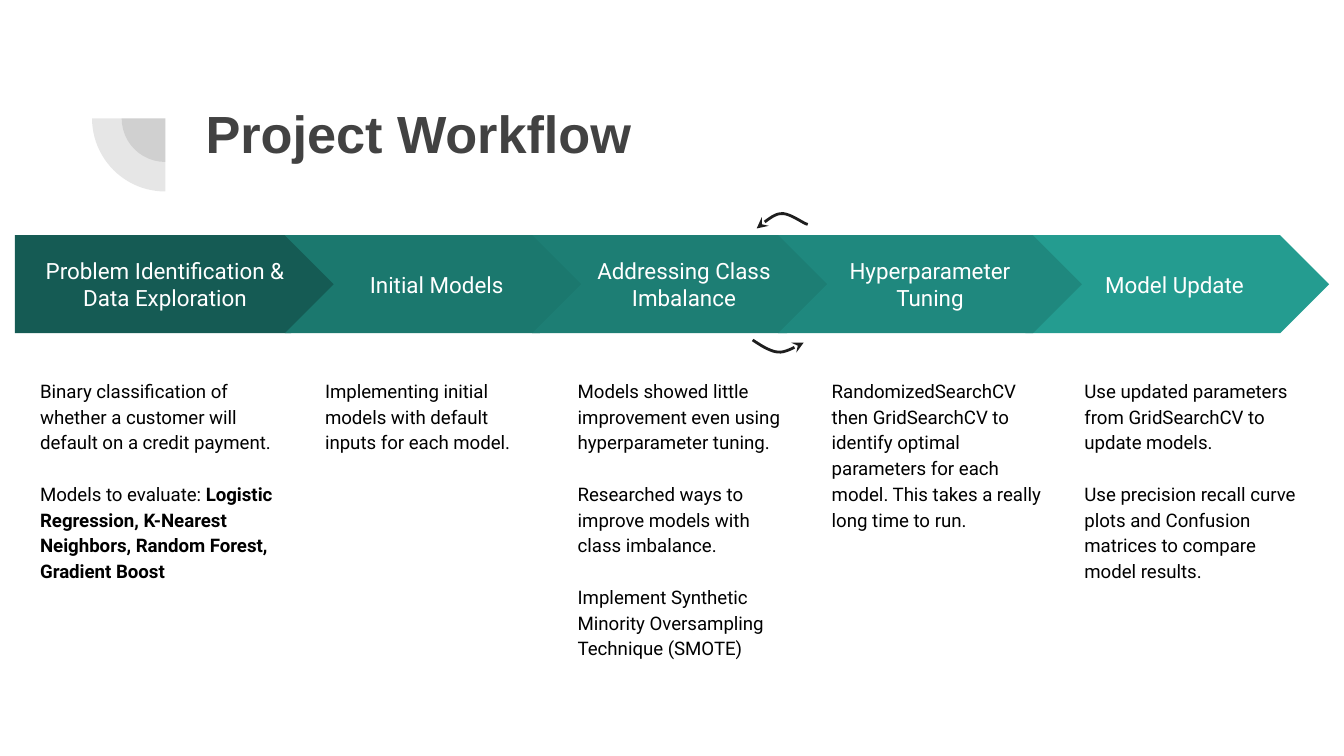
"""Build the Project Workflow slide: five chevron stages with notes below."""
from lxml.etree import SubElement
from pptx import Presentation
from pptx.dml.color import RGBColor
from pptx.enum.shapes import MSO_SHAPE
from pptx.enum.text import MSO_ANCHOR, MSO_AUTO_SIZE, PP_ALIGN
from pptx.oxml.ns import qn
from pptx.util import Inches, Pt


def paint(fill, color):
    fill.solid()
    fill.fore_color.rgb = RGBColor.from_string(color)


def write(box, paragraphs, color, anchor, formats, font):
    frame = box.text_frame
    frame.word_wrap = True
    frame.auto_size = MSO_AUTO_SIZE.NONE
    frame.vertical_anchor = anchor
    for side in ("left", "right", "top", "bottom"):
        setattr(frame, f"margin_{side}", Inches(0.1))
    for index, runs in enumerate(paragraphs):
        para = frame.add_paragraph() if index else frame.paragraphs[0]
        for name, value in formats.items():
            setattr(para, name, value)
        if index:
            para.space_before = Pt(13.8)
        for position, text in enumerate(runs):
            span = para.add_run()
            span.text = text
            span.font.bold = position > 0
            for name, value in font.items():
                setattr(span.font, name, value)
            paint(span.font.fill, color)


deck = Presentation()
deck.slide_width = Inches(10)
deck.slide_height = Inches(10 * 9 / 16)
page = deck.slides.add_slide(deck.slide_layouts[5])

for diameter in (0.65, 1.09):
    pie = page.shapes.add_shape(
        MSO_SHAPE.PIE, Inches(1.23 - diameter / 2), Inches(0.88 - diameter / 2),
        Inches(diameter), Inches(diameter))
    pie.adjustments[0], pie.adjustments[1] = 108, 162
    pie.rotation = 270
    pie.shadow.inherit = False
    pie.line.fill.background()
    paint(pie.fill, "424242")
    tint = pie.element.spPr.find(".//" + qn("a:srgbClr"))
    SubElement(tint, qn("a:alpha"), val="13000")

title = page.shapes.title
title.left, title.top, title.width, title.height = map(Inches, (1.43, 0.65, 7.69, 1.09))
write(title, [["Project Workflow"]], "424242", MSO_ANCHOR.TOP,
      {"alignment": PP_ALIGN.LEFT}, {"name": "Arial", "size": Pt(28), "bold": True})

stages = [
    ("Problem Identification & Data Exploration", "155B54", 0.11, 2.42, 0.2, 2.01,
     [["Binary classification of whether a customer will default on a credit payment."],
      ["Models to evaluate: ",
       "Logistic Regression, K-Nearest Neighbors, Random Forest, Gradient Boost"]]),
    ("Initial Models", "1B786E", 2.12, 2.26, 2.32, 1.78,
     [["Implementing initial models with default inputs for each model."]]),
    ("Addressing Class Imbalance", "1D7E74", 3.96, 2.26, 4.2, 1.78,
     [["Models showed little improvement even using hyperparameter tuning."],
      ["Researched ways to improve models with class imbalance."],
      ["Implement Synthetic Minority Oversampling Technique (SMOTE)"]]),
    ("Model Update ", "249C90", 7.63, 2.26, 7.97, 1.78,
     [["Use updated parameters from GridSearchCV to update models."],
      ["Use precision recall curve plots and Confusion matrices to compare model results."]]),
    ("Hyperparameter Tuning", "1F887E", 5.79, 2.26, 6.09, 1.78,
     [["RandomizedSearchCV then GridSearchCV to identify optimal parameters for each model. "
       "This takes a really long time to run."]]),
]
for index, (label, color, left, width, note_left, note_width, notes) in enumerate(stages):
    preset = MSO_SHAPE.CHEVRON if index else MSO_SHAPE.PENTAGON
    stage = page.shapes.add_shape(
        preset, Inches(left), Inches(1.75), Inches(width), Inches(0.73))
    stage.shadow.inherit = False
    stage.line.fill.background()
    paint(stage.fill, color)
    write(stage, [[label]], "FFFFFF", MSO_ANCHOR.MIDDLE,
          {"alignment": PP_ALIGN.CENTER}, {"name": "Roboto", "size": Pt(12)})
    note = page.shapes.add_textbox(
        Inches(note_left), Inches(2.7), Inches(note_width), Inches(2.57))
    write(note, notes, "000000", MSO_ANCHOR.TOP,
          {"line_spacing": 1.15}, {"name": "Roboto", "size": Pt(10)})

loops = [
    [(5.6, 2.53), (5.63, 2.55), (5.73, 2.62), (5.79, 2.62),
     (5.85, 2.63), (5.95, 2.56), (5.98, 2.55)],
    [(6.01, 1.67), (5.97, 1.66), (5.87, 1.58), (5.81, 1.59),
     (5.75, 1.59), (5.66, 1.68), (5.63, 1.7)],
]
steps = 10
for knots in loops:
    points = []
    for first in (0, 3):
        for step in range(1, steps + 1):
            t = step / steps
            weights = ((1 - t) ** 3, 3 * t * (1 - t) ** 2, 3 * t ** 2 * (1 - t), t ** 3)
            points.append(tuple(
                Inches(sum(w * knot[axis] for w, knot in zip(weights, knots[first:first + 4])))
                for axis in (0, 1)))
    builder = page.shapes.build_freeform(*map(Inches, knots[0]))
    builder.add_line_segments(points, close=False)
    arrow = builder.convert_to_shape()
    arrow.shadow.inherit = False
    arrow.fill.background()
    paint(arrow.line.fill, "1E1E1E")
    arrow.line.width = Pt(1.5)
    SubElement(arrow.element.spPr.find(qn("a:ln")), qn("a:tailEnd"), type="stealth")

deck.save("out.pptx")
